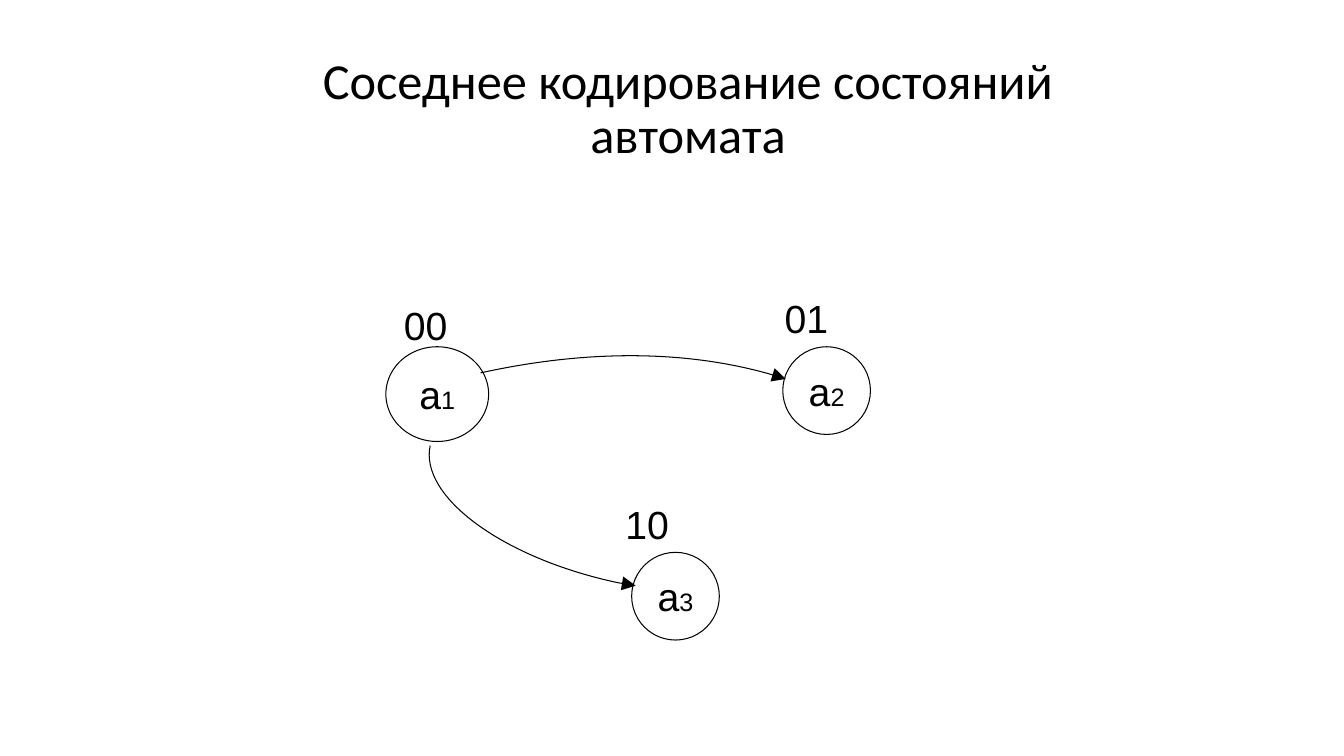
from pptx import Presentation
from pptx.dml.color import RGBColor
from pptx.enum.shapes import MSO_SHAPE
from pptx.enum.text import MSO_ANCHOR, PP_ALIGN
from pptx.oxml.ns import qn
from pptx.util import Pt
from lxml import etree

OVAL = MSO_SHAPE.OVAL
TOP, MIDDLE = MSO_ANCHOR.TOP, MSO_ANCHOR.MIDDLE
LEFT, CENTER = PP_ALIGN.LEFT, PP_ALIGN.CENTER

# Content: lengths in px, 100 px to the inch
PX = 9144
WIDTH, HEIGHT = 1334, 750
COLORS = {"ink": "000000"}
TITLE = ("Соседнее кодирование состояний автомата", (233, 47, 900, 125))
STATES = [  # index, circle box, code, code position
    ("1", (383, 344, 102, 94), "00", (391, 288)),
    ("2", (777, 344, 87, 87), "01", (769, 281)),
    ("3", (627, 548, 87, 87), "10", (611, 485)),
]
CODE_SIZE = (102, 57)
ARCS = [  # start point, then two control points and an end point per curve
    [(477, 370), (586, 346), (695, 348), (780, 376)],
    [(427, 442), (416, 493), (500, 554), (613, 578),
     (619, 579), (625, 580), (631, 581)],
]
LINE_WIDTH = 0.75
TITLE_FONT = {"name": "Calibri", "size": Pt(36)}
STATE_FONT = {"name": "Arial", "size": Pt(28)}
INDEX_FONT = {"name": "Arial", "size": Pt(18)}


def emu(*lengths):
    return [v * PX for v in lengths]


def ink():
    return RGBColor.from_string(COLORS["ink"])


def set_text(sp, runs, align=LEFT, anchor=TOP, wrap=True, top=5, spacing=None):
    tf = sp.text_frame
    frame = {"word_wrap": wrap, "vertical_anchor": anchor, "margin_top": top * PX}
    for name, value in frame.items():
        setattr(tf, name, value)
    p = tf.paragraphs[0]
    p.alignment, p.line_spacing = align, spacing
    for text, font in runs:
        r = p.add_run()
        r.text = text
        for name, value in font.items():
            setattr(r.font, name, value)
        r.font.color.rgb = ink()


def outline(sp):
    sp.shadow.inherit = False
    sp.fill.background()
    sp.line.color.rgb = ink()
    sp.line.width = Pt(LINE_WIDTH)


def add_arc(s, points):
    fb = s.shapes.build_freeform(*points[0], scale=PX)
    fb.add_line_segments(points[1:], close=False)
    sp = fb.convert_to_shape()
    outline(sp)
    # Join each three points into one Bezier curve
    path = next(sp._element.iter(qn("a:path")))
    lines = path.findall(qn("a:lnTo"))
    for i in range(0, len(lines), 3):
        curve = etree.SubElement(path, qn("a:cubicBezTo"))
        for line in lines[i:i + 3]:
            curve.append(line[0])
            path.remove(line)
    # Arrowhead at the end
    etree.SubElement(sp.line._get_or_add_ln(), qn("a:tailEnd"),
                     type="triangle", w="lg", len="lg")


def main():
    prs = Presentation()
    prs.slide_width, prs.slide_height = emu(WIDTH, HEIGHT)
    s = prs.slides.add_slide(prs.slide_layouts[6])

    # Title
    text, box = TITLE
    set_text(s.shapes.add_textbox(*emu(*box)), [(text, TITLE_FONT)],
             CENTER, MIDDLE, spacing=0.9)

    # States and their codes
    for index, box, code, position in STATES:
        sp = s.shapes.add_shape(OVAL, *emu(*box))
        outline(sp)
        set_text(sp, [("a", STATE_FONT), (index, INDEX_FONT)],
                 CENTER, MIDDLE, wrap=False)
        label = s.shapes.add_textbox(*emu(*position, *CODE_SIZE))
        set_text(label, [(code, STATE_FONT)], top=11)

    # Transitions
    for points in ARCS:
        add_arc(s, points)

    prs.save("out.pptx")


if __name__ == "__main__":
    main()
